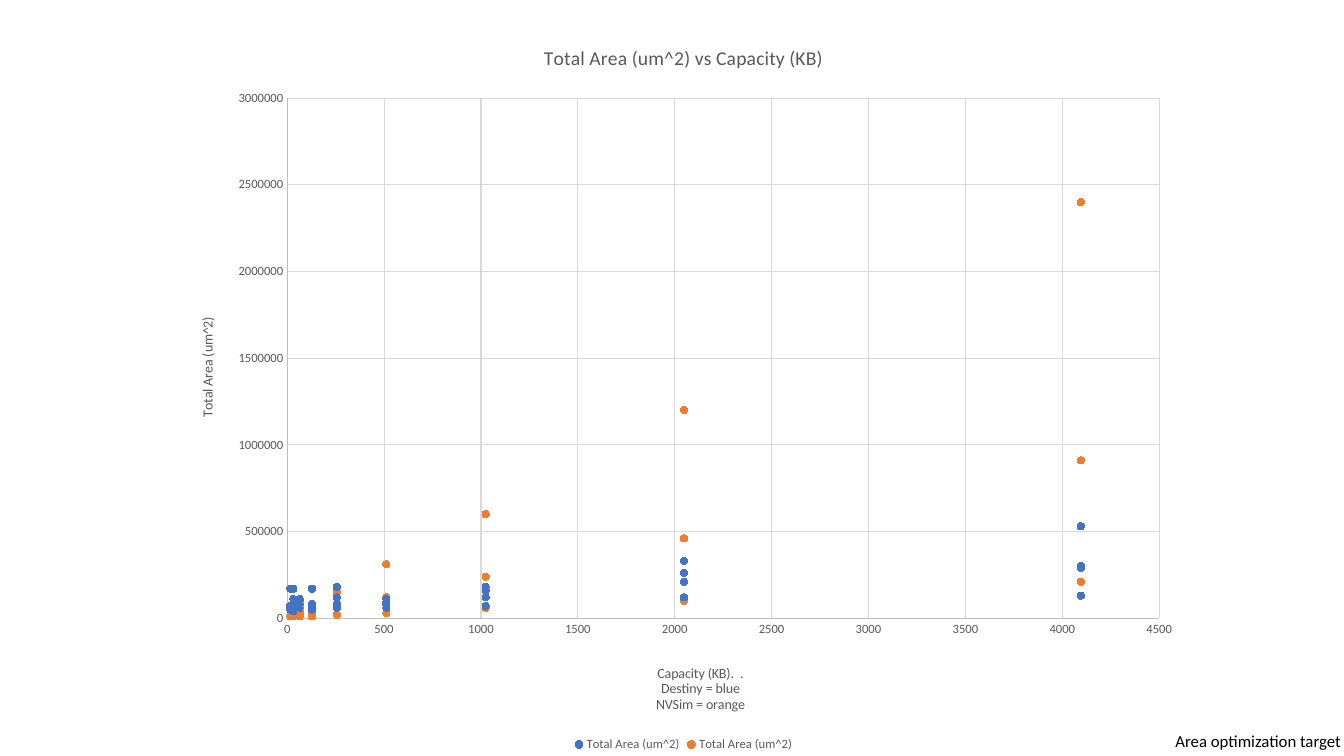
from lxml import etree
from pptx import Presentation
from pptx.chart.data import XyChartData
from pptx.dml.color import RGBColor
from pptx.enum.chart import (XL_CHART_TYPE, XL_LEGEND_POSITION,
                             XL_MARKER_STYLE, XL_TICK_MARK)
from pptx.oxml.ns import qn
from pptx.util import Inches, Pt

SCATTER = XL_CHART_TYPE.XY_SCATTER
BOTTOM = XL_LEGEND_POSITION.BOTTOM
CIRCLE = XL_MARKER_STYLE.CIRCLE
NO_TICK = XL_TICK_MARK.NONE

BLACK = RGBColor(0x00, 0x00, 0x00)
GRAY = RGBColor(0x59, 0x59, 0x59)
AXIS = RGBColor(0xBF, 0xBF, 0xBF)
GRID = RGBColor(0xD9, 0xD9, 0xD9)
BLUE = RGBColor(0x44, 0x72, 0xC4)
ORANGE = RGBColor(0xED, 0x7D, 0x31)
FONT = "Calibri"
AREA = "Total Area (um^2)"

# Capacities in KB; each row of areas (in thousands) covers all of them.
SIZES = [2 ** n for n in range(4, 13)]
DESTINY = [
    [70, 110, 110, 80, 120, 80, 120, 210, 530],
    [50, 40, 60, 60, 80, 90, 160, 260, 300],
    [170, 170, 100, 170, 180, 110, 180, 330, 290],
    [50, 80, 80, 50, 60, 60, 70, 120, 130],
]
NVSIM = [
    [10, 10, 20, 30, 60, 120, 240, 460, 910],
    [10, 20, 40, 80, 150, 310, 600, 1200, 2400],
    [10, 10, 10, 10, 20, 30, 60, 100, 210],
]


def style(font, size, color=GRAY):
    font.name = FONT
    font.size = Pt(size)
    font.bold = False
    font.color.rgb = color


def place(part, index, **spots):
    """Set a manual layout, in fractions of the chart, on a chart part."""
    layout = part.find(qn("c:layout"))
    if layout is None:
        layout = etree.Element(qn("c:layout"))
        part.insert(index, layout)
    manual = etree.SubElement(layout, qn("c:manualLayout"))
    for tag, val in spots.items():
        etree.SubElement(manual, qn("c:" + tag)).set("val", str(val))


deck = Presentation()
deck.slide_width = Inches(13.33)
deck.slide_height = Inches(7.5)
slide = deck.slides.add_slide(deck.slide_layouts[6])

# Scatter chart
data = XyChartData()
for rows in (DESTINY, NVSIM):
    series = data.add_series(AREA)
    for row in rows:
        for size, area in zip(SIZES, row):
            series.add_data_point(size, area * 1000)
chart = slide.shapes.add_chart(SCATTER, Inches(1.74), Inches(0.2),
                               Inches(10.08), Inches(7.3), data).chart
style(chart.font, 10, BLACK)
chart.plots[0].vary_by_categories = False

for series, color in zip(chart.plots[0].series, (BLUE, ORANGE)):
    series.smooth = False
    series.format.line.fill.background()
    marker = series.marker
    marker.style = CIRCLE
    marker.size = 5
    marker.format.fill.solid()
    marker.format.fill.fore_color.rgb = color
    marker.format.line.color.rgb = color

# Titles and legend
chart.has_title = True
chart.chart_title.include_in_layout = False
frame = chart.chart_title.text_frame
frame.text = "Total Area (um^2) vs Capacity (KB)"
style(frame.paragraphs[0].runs[0].font, 14)

chart.has_legend = True
chart.legend.position = BOTTOM
chart.legend.include_in_layout = False
style(chart.legend.font, 9)

# Axes: title, top value, step, title spot and turn
NOTE = "Capacity (KB).  .\nDestiny = blue\nNVSim = orange"
axes = [
    (chart.category_axis, NOTE, 4500, 500, 0.47, 0.87, 0),
    (chart.value_axis, AREA, 3000000, 500000, 0.02, 0.4, -90),
]
for axis, title, top, step, left, down, turn in axes:
    axis.minimum_scale = 0
    axis.maximum_scale = top
    axis.major_unit = step
    axis.major_tick_mark = axis.minor_tick_mark = NO_TICK
    axis.tick_labels.number_format = "General"
    axis.tick_labels.number_format_is_linked = False
    style(axis.tick_labels.font, 9)
    axis.has_major_gridlines = True
    for line, color in ((axis.format.line, AXIS),
                        (axis.major_gridlines.format.line, GRID)):
        line.color.rgb = color
        line.width = Pt(0.75)
    frame = axis.axis_title.text_frame
    frame.text = title
    for para in frame.paragraphs:
        for run in para.runs:
            style(run.font, 10)
    body = frame._txBody.find(qn("a:bodyPr"))
    body.set("rot", str(turn * 60000))
    body.set("vert", "horz")
    place(axis.axis_title._element, 1, xMode="edge", yMode="edge",
          x=left, y=down)

plot = chart._chartSpace.find(".//" + qn("c:plotArea"))
place(plot, 0, layoutTarget="inner", xMode="edge", yMode="edge",
      x=0.11, y=0.106, w=0.858, h=0.707)

# Corner note
box = slide.shapes.add_textbox(Inches(11.56), Inches(7.2),
                               Inches(1.97), Inches(0.3))
box.text_frame.word_wrap = True
box.text_frame.text = "Area optimization target"
style(box.text_frame.paragraphs[0].runs[0].font, 12, BLACK)

deck.save("out.pptx")
